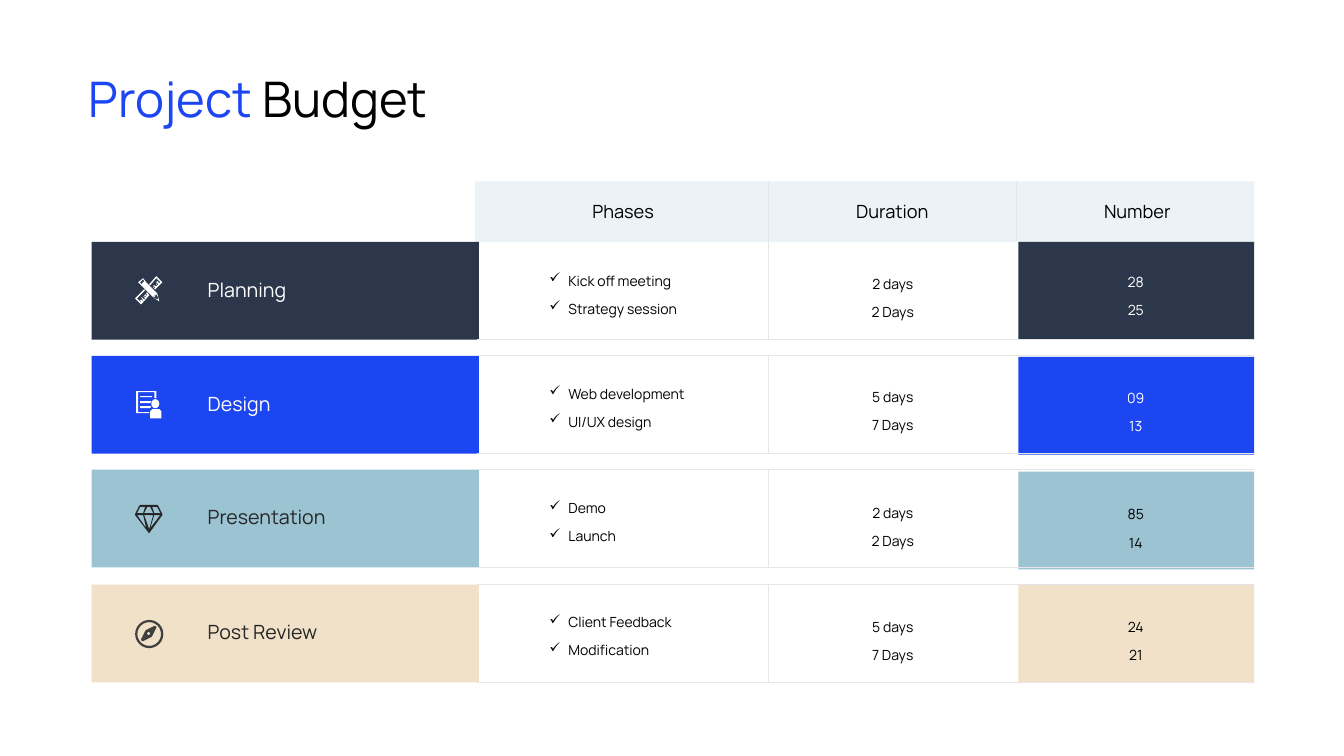
import pptx
import pptx.dml.color
import pptx.enum.shapes
import pptx.enum.text
import pptx.oxml.ns
import pptx.util
from lxml import etree

PX = 9144
FONT = "Manrope"
BLACK, WHITE, CHARCOAL = "000000", "FFFFFF", "262626"
BLUE, NAVY, TEAL, SAND = "1C46F2", "2D374B", "9BC3D2", "F0E1C8"
PALE, RULE, GREY = "EBF3F6", "E7E6E6", "404040"
LEFT, CENTER = pptx.enum.text.PP_ALIGN.LEFT, pptx.enum.text.PP_ALIGN.CENTER
MIDDLE = pptx.enum.text.MSO_ANCHOR.MIDDLE
SHAPE = pptx.enum.shapes.MSO_SHAPE
ROW_HEIGHT = 97
TABLE_TOP, TABLE_RIGHT = 180, 1244
PHASE_LEFT, DURATION_LEFT, NUMBER_LEFT = 473, 762, 1008

ROWS = [
    ("Planning", NAVY, WHITE, WHITE, 240,
     (254, ["Kick off meeting", "Strategy session"]),
     (257, ["2 days", "2 Days"]), (255, ["28", "25"])),
    ("Design", BLUE, WHITE, WHITE, 354,
     (366, ["Web development", "UI/UX design"]),
     (369, ["5 days", "7 Days"]), (370, ["09", "13"])),
    ("Presentation", TEAL, CHARCOAL, BLACK, 468,
     (480, ["Demo", "Launch"]),
     (484, ["2 days", "2 Days"]), (486, ["85", "14"])),
    ("Post Review", SAND, CHARCOAL, BLACK, 580,
     (593, ["Client Feedback", "Modification"]),
     (598, ["5 days", "7 Days"]), (598, ["24", "21"])),
]

RULER_AND_PENCIL = [
    [(155, 276), (159, 280), (158, 281), (156, 279), (155, 280), (157, 282),
     (156, 283), (155, 281), (155, 282), (156, 283), (155, 284), (153, 283),
     (152, 283), (154, 285), (153, 286), (152, 284), (152, 285), (154, 287),
     (161, 280), (155, 274), (148, 282), (149, 283)],
    [(145, 291), (146, 293), (146, 294), (144, 292), (143, 293), (145, 294),
     (144, 295), (143, 294), (142, 294), (144, 296), (143, 297), (141, 295),
     (140, 295), (142, 298), (141, 298), (140, 297), (139, 298), (140, 299),
     (140, 300), (136, 296), (144, 288), (143, 287), (134, 296), (140, 302),
     (148, 293), (146, 290)],
    [(145, 280), (142, 276), (137, 280), (141, 284), (152, 295), (158, 299),
     (156, 291)],
    [(140, 282), (139, 280), (142, 277), (143, 279)],
    [(156, 297), (152, 295), (152, 294), (154, 295), (153, 293), (155, 293),
     (155, 291), (157, 296)],
]
DOCUMENT = [
    [(137, 389), (153, 389), (153, 395), (155, 395), (155, 388), (135, 388),
     (135, 410), (148, 410), (148, 409), (137, 409)],
    [(139, 400), (149, 400), (150, 398), (139, 398)],
    [(139, 393), (139, 394), (151, 394), (151, 393)],
    [(139, 405), (149, 405), (150, 403), (139, 403)],
    [(151, 406), (158, 406), (160, 408), (160, 415), (149, 415), (149, 408)],
]
DIAMOND = [
    [(139, 501), (156, 501), (157, 502), (161, 510), (161, 511), (148, 529),
     (147, 528), (134, 511), (134, 510), (138, 502)],
    [(146, 503), (149, 503), (152, 509), (143, 509)],
    [(139, 503), (144, 503), (142, 509), (136, 509)],
    [(136, 511), (142, 511), (145, 524)],
    [(143, 511), (152, 511), (148, 525)],
    [(153, 511), (159, 511), (149, 524)],
    [(151, 503), (156, 503), (159, 509), (153, 509)],
]
COMPASS_NEEDLE = [
    [(153, 621), (145, 625), (144, 626), (140, 634), (140, 635), (141, 636),
     (142, 636), (150, 632), (151, 631), (155, 623), (155, 622), (154, 621)],
    [(148, 627), (149, 628), (149, 629), (148, 630), (147, 630), (146, 629),
     (146, 628), (147, 627)],
]


def px(*lengths):
    return [pptx.util.Emu(length * PX) for length in lengths]


def color(value):
    return pptx.dml.color.RGBColor.from_string(value)


def apply(target, values):
    for name, value in values.items():
        setattr(target, name, value)


def paint(shape, fill):
    shape.shadow.inherit = False
    shape.fill.solid()
    shape.fill.fore_color.rgb = color(fill)
    shape.line.fill.background()
    return shape


def add_block(slide, box, fill, kind=SHAPE.RECTANGLE):
    return paint(slide.shapes.add_shape(kind, *px(*box)), fill)


def add_icon(slide, outlines, fill):
    builder = slide.shapes.build_freeform(*outlines[0][0], scale=PX)
    builder.add_line_segments(outlines[0][1:], close=True)
    for outline in outlines[1:]:
        builder.move_to(*outline[0])
        builder.add_line_segments(outline[1:], close=True)
    paint(builder.convert_to_shape(), fill)


def add_rule(slide, *ends):
    rule = slide.shapes.add_connector(
        pptx.enum.shapes.MSO_CONNECTOR.STRAIGHT, *px(*ends))
    rule.line.color.rgb = color(RULE)
    rule.line.width = pptx.util.Pt(0.5)
    etree.SubElement(rule._element.spPr, pptx.oxml.ns.qn("a:effectLst"))


def add_check(paragraph):
    properties = paragraph._p.get_or_add_pPr()
    properties.set("marL", str(19 * PX))
    properties.set("indent", str(-19 * PX))
    bullet = etree.SubElement(properties, pptx.oxml.ns.qn("a:buChar"))
    bullet.set("char", "✓")


def add_text(slide, box, paragraphs, size, align=LEFT, spacing=0.9,
             checked=False, frame_format=None):
    frame = slide.shapes.add_textbox(*px(*box)).text_frame
    apply(frame, {"word_wrap": True,
                  "auto_size": pptx.enum.text.MSO_AUTO_SIZE.SHAPE_TO_FIT_TEXT,
                  **(frame_format or {})})
    for index, runs in enumerate(paragraphs):
        paragraph = frame.add_paragraph() if index else frame.paragraphs[0]
        if checked:
            add_check(paragraph)
        apply(paragraph, {"alignment": align, "line_spacing": spacing})
        for words, ink in runs:
            run = paragraph.add_run()
            run.text = words
            apply(run.font, {"name": FONT, "size": pptx.util.Pt(size)})
            run.font.color.rgb = color(ink)


def add_label(slide, box, words, size, ink, align=LEFT):
    flush = dict.fromkeys(
        ["margin_left", "margin_top", "margin_right", "margin_bottom"], 0)
    add_text(slide, box, [[(words, ink)]], size, align,
             frame_format={**flush, "vertical_anchor": MIDDLE})


def add_entries(slide, left, width, cell, ink=BLACK, align=CENTER, checked=False):
    top, entries = cell
    add_text(slide, (left, top, width, 63), [[(entry, ink)] for entry in entries],
             10, align, pptx.util.Pt(20), checked)


def add_row(slide, index, row):
    name, fill, name_ink, number_ink, number_top, phases, durations, numbers = row
    top = 240 + index * 340 // 3
    bottom = top + ROW_HEIGHT
    add_block(slide, (NUMBER_LEFT + 2, number_top, 234, ROW_HEIGHT), fill)
    add_block(slide, (91, top, 384, ROW_HEIGHT), fill)
    for edge in ([top, bottom] if index else [bottom]):
        add_rule(slide, PHASE_LEFT, edge, TABLE_RIGHT, edge)
    add_rule(slide, DURATION_LEFT, top if index else TABLE_TOP, DURATION_LEFT, bottom)
    add_label(slide, (206, top + 38, 161, 21), name, 14, name_ink)
    add_entries(slide, 535, 173, phases, align=LEFT, checked=True)
    add_entries(slide, 799, 173, durations)
    add_entries(slide, 1080, 93, numbers, number_ink)


def add_header(slide):
    add_block(slide, (471, TABLE_TOP, 773, 60), PALE)
    for left, heading in [(533, "Phases"), (800, "Duration"), (1043, "Number")]:
        add_label(slide, (left, 201, 170, 20), heading, 13, BLACK, CENTER)
    add_rule(slide, NUMBER_LEFT, TABLE_TOP, NUMBER_LEFT, 239)


def add_icons(slide):
    add_icon(slide, RULER_AND_PENCIL, WHITE)
    add_icon(slide, DOCUMENT, WHITE)
    add_block(slide, (150, 396, 8, 9), WHITE, SHAPE.OVAL)
    add_icon(slide, DIAMOND, CHARCOAL)
    ring = add_block(slide, (134, 615, 28, 28), GREY, SHAPE.DONUT)
    ring.adjustments[0] = 0.08
    add_icon(slide, COMPASS_NEEDLE, GREY)


def main():
    deck = pptx.Presentation()
    deck.slide_width, deck.slide_height = px(1333, 750)
    slide = deck.slides.add_slide(deck.slide_layouts[6])
    add_text(slide, (78, 59, 609, 71), [[("Project", BLUE), (" Budget", BLACK)]],
             35, spacing=pptx.util.Pt(45))
    add_header(slide)
    for index, row in enumerate(ROWS):
        add_row(slide, index, row)
    add_icons(slide)
    deck.save("out.pptx")


if __name__ == "__main__":
    main()
